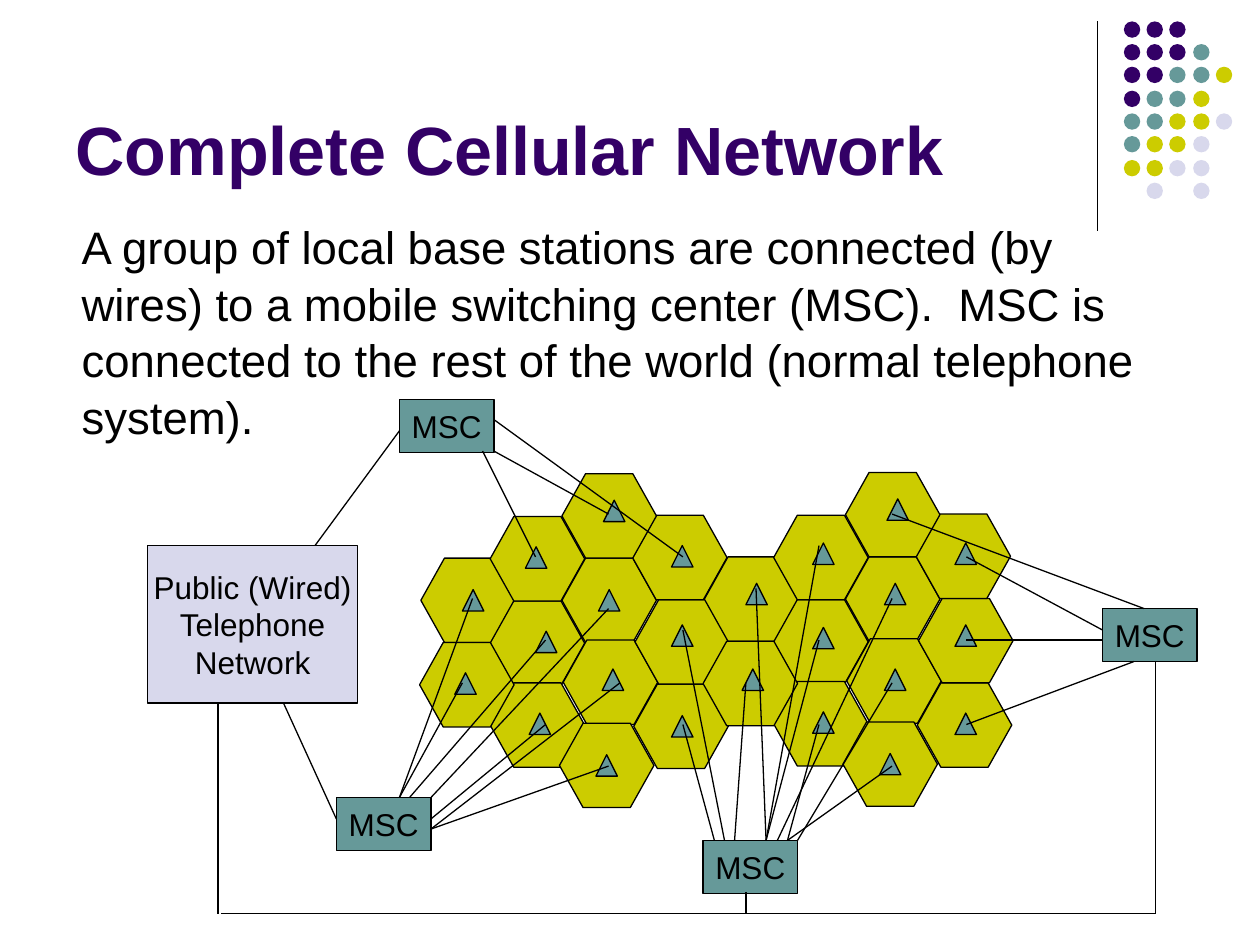
from lxml.etree import SubElement
from pptx import Presentation
from pptx.dml.color import RGBColor
from pptx.enum.shapes import MSO_CONNECTOR, MSO_SHAPE
from pptx.enum.text import MSO_ANCHOR, PP_ALIGN
from pptx.oxml.ns import qn
from pptx.util import Emu, Pt

EMU_PER_PX = 9144
PURPLE, TEAL, OLIVE, LILAC, BLACK = "330066", "669999", "CCCC00", "D8D8EC", "000000"
DOT_COLOURS = {"P": PURPLE, "T": TEAL, "Y": OLIVE, "L": LILAC}
DOT_ROWS = ["PPP", "PPPT", "PPTTY", "PTTY", "TTYYL", "TYYL", "YYLL", " L L"]
CLUSTER_SHIFTS = [(0, 0), (225, -1)]
CLUSTER_CELLS = [
    (334, 443), (389, 477), (389, 410), (446, 443), (447, 508), (389, 542),
    (333, 510), (444, 574), (503, 543), (504, 476), (502, 409), (446, 376),
]
BASE_STATIONS = [
    (361, 534), (367, 468), (417, 434), (425, 501), (420, 566), (473, 599),
    (478, 531), (475, 468), (479, 397), (533, 433), (533, 496), (533, 568),
    (589, 531), (592, 463), (645, 431), (645, 498), (645, 565), (698, 598),
    (702, 531), (702, 463), (704, 396), (758, 431), (758, 496), (758, 566),
]
SWITCHING_CENTERS = [
    ((267, 633), [
        (342, 658, 483, 608), (342, 650, 433, 575), (342, 658, 492, 542),
        (342, 633, 483, 483), (325, 633, 433, 508), (317, 633, 367, 542),
        (317, 633, 375, 475)]),
    ((558, 667), [
        (567, 667, 542, 575), (575, 667, 542, 500), (583, 667, 592, 542),
        (625, 667, 708, 608), (625, 667, 650, 575), (633, 667, 708, 542),
        (608, 667, 650, 508), (608, 667, 600, 467), (608, 667, 650, 433),
        (617, 667, 708, 475)]),
    ((875, 483), [
        (900, 525, 767, 575), (875, 508, 767, 508), (875, 500, 767, 442),
        (908, 483, 708, 408)]),
    ((317, 317), [
        (392, 333, 542, 442), (483, 408, 392, 358), (425, 442, 383, 358)]),
]
TELEPHONE_LINES = [
    (317, 342, 250, 433), (267, 650, 225, 558), (917, 725, 175, 725),
    (917, 525, 917, 725), (592, 708, 592, 725), (173, 725, 173, 558),
]


def px(length):
    """Turn a length in px into EMU."""
    return Emu(length * EMU_PER_PX)


def colour(hex_string):
    """Turn a hex string into a colour."""
    return RGBColor.from_string(hex_string)


def add_span(para, text, size, hex_string=BLACK, bold=False):
    """Add one run of text to a paragraph."""
    span = para.add_run()
    span.text = text
    span.font.name = "Arial"
    span.font.size = Pt(size)
    span.font.bold = bold
    span.font.color.rgb = colour(hex_string)


def add_shape(page, kind, left, top, width, height, fill, outlined=True):
    """Add a filled preset shape with or without a thin outline."""
    shape = page.shapes.add_shape(kind, px(left), px(top), px(width), px(height))
    shape.shadow.inherit = False
    shape.fill.solid()
    shape.fill.fore_color.rgb = colour(fill)
    if outlined:
        shape.line.color.rgb = colour(BLACK)
        shape.line.width = Pt(0.75)
    else:
        shape.line.fill.background()
    return shape


def add_wire(page, start_x, start_y, end_x, end_y):
    """Add a thin straight line."""
    wire = page.shapes.add_connector(
        MSO_CONNECTOR.STRAIGHT, px(start_x), px(start_y), px(end_x), px(end_y))
    wire.line.color.rgb = colour(BLACK)
    wire.line.width = Pt(0.75)
    SubElement(wire._element.spPr, qn("a:effectLst"))


def add_node(page, left, top, width, height, fill, lines):
    """Add a labelled network box with centred lines."""
    frame = add_shape(page, MSO_SHAPE.RECTANGLE, left, top, width, height, fill).text_frame
    frame.word_wrap = False
    frame.vertical_anchor = MSO_ANCHOR.MIDDLE
    for index, text in enumerate(lines):
        para = frame.add_paragraph() if index else frame.paragraphs[0]
        para.alignment = PP_ALIGN.CENTER
        add_span(para, text, 18)


def add_text(page, left, top, width, height, anchor):
    """Add a wrapping text box and return its first paragraph."""
    box = page.shapes.add_textbox(px(left), px(top), px(width), px(height))
    box.text_frame.word_wrap = True
    box.text_frame.vertical_anchor = anchor
    return box.text_frame.paragraphs[0]


def add_dot_pattern(page):
    """Add the corner rule and its grid of coloured dots."""
    add_wire(page, 871, 17, 871, 183)
    for row, letters in enumerate(DOT_ROWS):
        for column, letter in enumerate(letters):
            if letter in DOT_COLOURS:
                add_shape(page, MSO_SHAPE.OVAL, 892 + 55 * column // 3, 17 + 55 * row // 3,
                          13, 13, DOT_COLOURS[letter], outlined=False)


def add_headings(page):
    """Add the title and the explanation."""
    title = add_text(page, 50, 13, 825, 142, MSO_ANCHOR.BOTTOM)
    add_span(title, "Complete Cellular Network", 39, PURPLE, bold=True)
    body = add_text(page, 17, 167, 900, 482, MSO_ANCHOR.TOP)
    body.line_spacing = 1.04
    body._p.get_or_add_pPr().set("marL", str(px(38)))
    add_span(body, "A group of local base stations are connected (by wires) to a mobile "
                   "switching center (MSC).  MSC is connected to the rest of the world "
                   "(normal telephone system).", 26)


def add_cells(page):
    """Add both clusters of cells and the base stations in them."""
    for shift_x, shift_y in CLUSTER_SHIFTS:
        for left, top in CLUSTER_CELLS:
            cell = add_shape(page, MSO_SHAPE.HEXAGON, left + shift_x, top + shift_y,
                             75, 67, OLIVE)
            cell.adjustments[0] = 0.28
    for left, top in BASE_STATIONS:
        add_shape(page, MSO_SHAPE.ISOSCELES_TRIANGLE, left, top, 17, 17, TEAL)


def add_network(page):
    """Add the switching centers, the telephone network and all wires."""
    for (left, top), wires in SWITCHING_CENTERS:
        add_node(page, left, top, 75, 42, TEAL, ["MSC"])
        for wire in wires:
            add_wire(page, *wire)
    add_node(page, 117, 433, 167, 125, LILAC, ["Public (Wired)", "Telephone", "Network"])
    for wire in TELEPHONE_LINES:
        add_wire(page, *wire)


def main():
    """Build and save the deck."""
    deck = Presentation()
    deck.slide_width, deck.slide_height = px(1000), px(750)
    page = deck.slides.add_slide(deck.slide_layouts[6])
    add_dot_pattern(page)
    add_headings(page)
    add_cells(page)
    add_network(page)
    deck.save("out.pptx")


if __name__ == "__main__":
    main()
